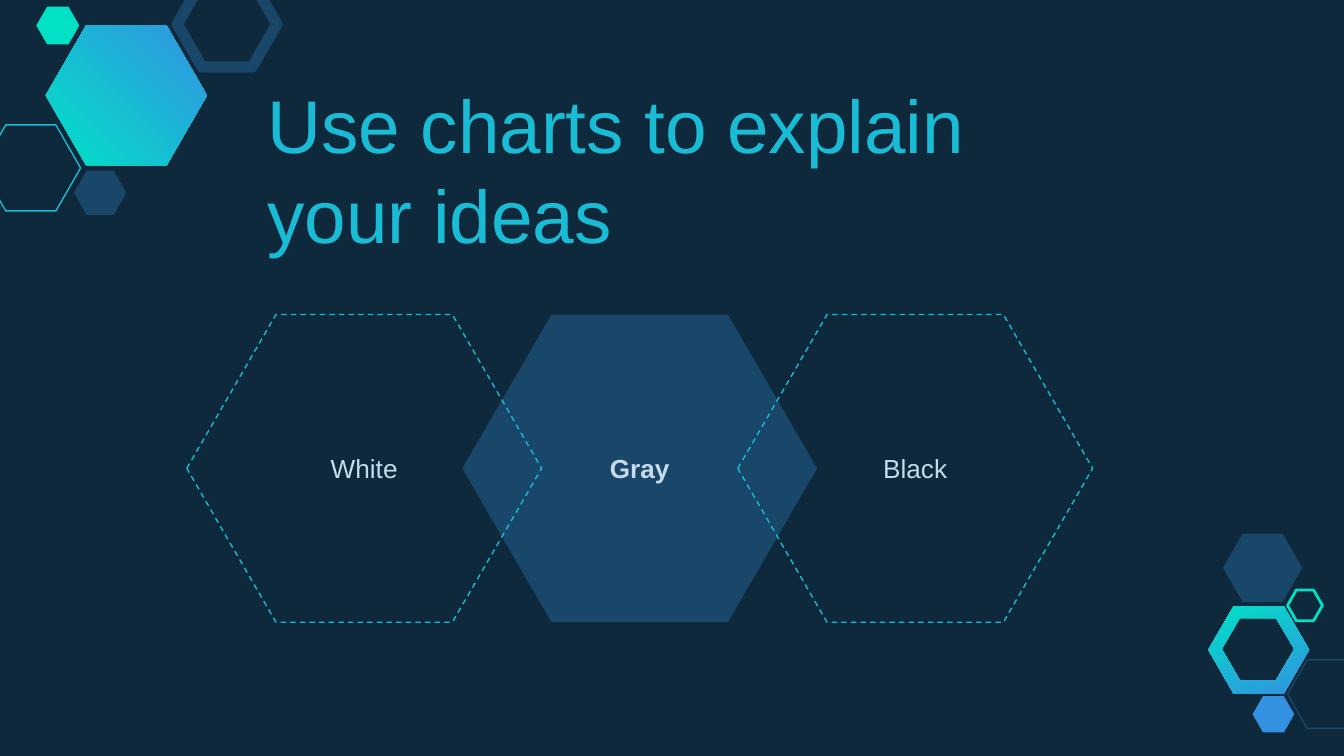
from pptx import Presentation
from pptx.dml.color import RGBColor
from pptx.enum import dml, shapes, text
from pptx.util import Inches, Pt

# Content
TITLE = "Use charts to explain your ideas"
LABELS = ["White", "Gray", "Black"]
HIGHLIGHT = 1

THEME = {
    "background": "0E293C", "navy": "184769", "cyan": "19BBD5",
    "mint": "00E1C6", "blue": "3292E1", "label": "C6DAEC",
    "font": "Arial", "title_size": 40, "label_size": 14,
}

# Corner hexagons: left, top, width, height, color, line width (0 = filled)
CORNER_HEXAGONS = [
    (-0.14, 0.93, 0.74, 0.64, "cyan", 0.75),
    (0.55, 1.27, 0.39, 0.33, "navy", 0),
    (1.32, -0.14, 0.74, 0.64, "navy", 6),
    (0.27, 0.05, 0.32, 0.28, "mint", 0),
    (9.58, 4.91, 0.59, 0.51, "navy", 0.75),
    (9.32, 5.18, 0.31, 0.27, "blue", 0),
    (9.1, 3.97, 0.59, 0.51, "navy", 0),
    (9.58, 4.39, 0.26, 0.23, "mint", 1.5),
]
# Gradient hexagons: angle, then one box per contour
GRADIENT_HEXAGONS = [
    (296, [(8.99, 4.51, 0.75, 0.65), (9.09, 4.6, 0.54, 0.46)]),
    (45, [(0.34, 0.19, 1.2, 1.04)]),
]
# Row of overlapping hexagons
ROW_LEFT, ROW_TOP, ROW_STEP = 1.39, 2.34, 2.05
ROW_WIDTH, ROW_HEIGHT = 2.64, 2.29


def color(name):
    return RGBColor.from_string(THEME[name])


def write(shape, words, *, size, ink, bold=False, align=None, anchor=None):
    frame = shape.text_frame
    frame.word_wrap = True
    frame.auto_size = text.MSO_AUTO_SIZE.NONE
    frame.vertical_anchor = anchor
    frame.margin_left = frame.margin_right = Inches(0.1)
    frame.margin_top = frame.margin_bottom = Inches(0.1)
    paragraph = frame.paragraphs[0]
    paragraph.alignment = align
    paragraph.line_spacing = 1.0
    run = paragraph.add_run()
    run.text = words
    run.font.name, run.font.size = THEME["font"], Pt(THEME[size])
    run.font.bold, run.font.color.rgb = bold, color(ink)


def add_hexagon(slide, box, ink, line_width=0, adjust=0.287, dashed=False):
    shape = slide.shapes.add_shape(shapes.MSO_SHAPE.HEXAGON, *map(Inches, box))
    shape.shadow.inherit = False
    shape.adjustments[0] = adjust
    if line_width:
        shape.fill.background()
        shape.line.color.rgb = color(ink)
        shape.line.width = Pt(line_width)
        if dashed:
            shape.line.dash_style = dml.MSO_LINE.DASH
    else:
        shape.fill.solid()
        shape.fill.fore_color.rgb = color(ink)
        shape.line.fill.background()
    return shape


def hexagon_points(left, top, width, height):
    inset, middle = width / 4, top + height / 2
    right, bottom = left + width, top + height
    points = [(left, middle), (left + inset, top), (right - inset, top),
              (right, middle), (right - inset, bottom), (left + inset, bottom)]
    return [(Inches(x), Inches(y)) for x, y in points]


def add_gradient_hexagon(slide, angle, boxes):
    outer, *holes = [hexagon_points(*box) for box in boxes]
    builder = slide.shapes.build_freeform(*outer[0])
    builder.add_line_segments(outer[1:], close=True)
    for hole in holes:
        builder.move_to(*hole[0])
        builder.add_line_segments(hole[:0:-1], close=True)
    shape = builder.convert_to_shape()
    shape.shadow.inherit = False
    shape.line.fill.background()
    shape.fill.gradient()
    shape.fill.gradient_angle = angle
    for stop, ink in zip(shape.fill.gradient_stops, ("mint", "blue")):
        stop.color.rgb = color(ink)


def main():
    presentation = Presentation()
    presentation.slide_width = Inches(10)
    presentation.slide_height = Inches(10) * 9 // 16
    slide = presentation.slides.add_slide(presentation.slide_layouts[5])
    slide.background.fill.solid()
    slide.background.fill.fore_color.rgb = color("background")

    # Corner decoration
    for angle, boxes in GRADIENT_HEXAGONS:
        add_gradient_hexagon(slide, angle, boxes)
    for *box, ink, line_width in CORNER_HEXAGONS:
        add_hexagon(slide, box, ink, line_width)

    # Title
    title = slide.shapes.title
    title.left, title.top = Inches(1.89), Inches(1.31)
    title.width, title.height = Inches(5.41), Inches(0.71)
    write(title, TITLE, size="title_size", ink="cyan",
          align=text.PP_ALIGN.LEFT, anchor=text.MSO_ANCHOR.BOTTOM)

    # Hexagon row, with the filled one at the back
    for index in sorted(range(len(LABELS)), key=lambda i: i != HIGHLIGHT):
        filled = index == HIGHLIGHT
        box = (ROW_LEFT + index * ROW_STEP, ROW_TOP, ROW_WIDTH, ROW_HEIGHT)
        shape = add_hexagon(slide, box, "navy" if filled else "cyan",
                            0 if filled else 0.75, adjust=0.29, dashed=True)
        write(shape, LABELS[index], size="label_size", ink="label", bold=filled,
              align=text.PP_ALIGN.CENTER, anchor=text.MSO_ANCHOR.MIDDLE)

    presentation.save("out.pptx")


if __name__ == "__main__":
    main()
